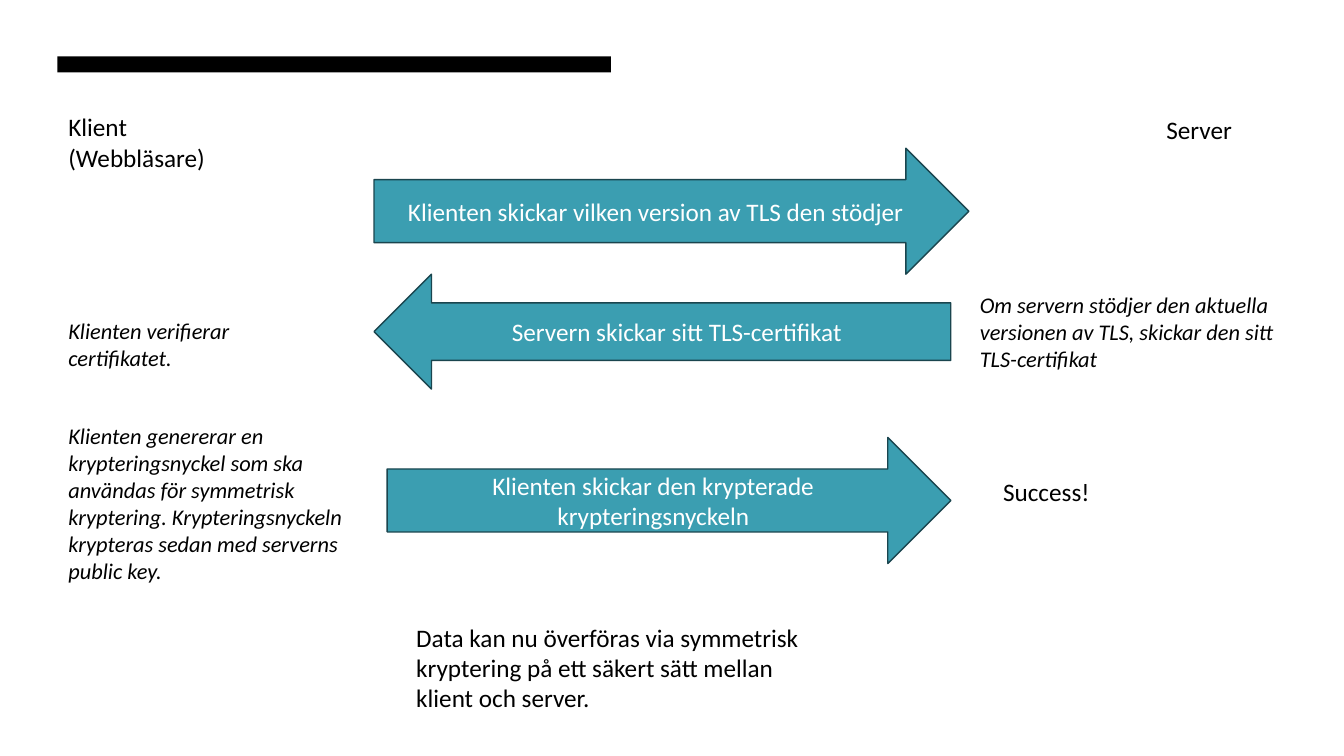
from pptx import Presentation
from pptx.dml.color import RGBColor
from pptx.enum.shapes import MSO_SHAPE
from pptx.enum.text import MSO_ANCHOR, PP_ALIGN
from pptx.util import Inches, Pt

RECT = MSO_SHAPE.RECTANGLE
RIGHT = MSO_SHAPE.RIGHT_ARROW
LEFT = MSO_SHAPE.LEFT_ARROW
MIDDLE = MSO_ANCHOR.MIDDLE
TOP = MSO_ANCHOR.TOP
CENTER = PP_ALIGN.CENTER
START = PP_ALIGN.LEFT


def color(code):
    return RGBColor.from_string(code)


def write(frame, text, size=18, ink="000000", italic=False, align=START, anchor=TOP):
    frame.word_wrap = True
    frame.vertical_anchor = anchor
    para = frame.paragraphs[0]
    para.alignment = align
    run = para.add_run()
    run.text = text
    font = run.font
    font.name = "Calibri"
    font.size = Pt(size)
    font.italic = italic
    font.color.rgb = color(ink)


class Board:
    """Holds the style and the current slide."""

    black = "000000"
    white = "FFFFFF"
    teal = "3B9EB1"
    edge = "1A454E"

    def __init__(self, slide):
        self.slide = slide

    def shape(self, kind, box, fill):
        item = self.slide.shapes.add_shape(kind, *map(Inches, box))
        item.shadow.inherit = False
        item.fill.solid()
        item.fill.fore_color.rgb = color(fill)
        return item

    def bar(self, *box):
        self.shape(RECT, box, self.black).line.fill.background()

    def arrow(self, kind, text, *box):
        item = self.shape(kind, box, self.teal)
        item.line.color.rgb = color(self.edge)
        item.line.width = Pt(1)
        write(item.text_frame, text, ink=self.white, align=CENTER, anchor=MIDDLE)

    def label(self, text, *box):
        item = self.slide.shapes.add_textbox(*map(Inches, box))
        write(item.text_frame, text, ink=self.black)

    def note(self, text, *box):
        item = self.slide.shapes.add_textbox(*map(Inches, box))
        write(item.text_frame, text, size=16, ink=self.black, italic=True)


def main():
    deck = Presentation()
    deck.slide_width = Inches(13.33)
    deck.slide_height = Inches(7.5)
    board = Board(deck.slides.add_slide(deck.slide_layouts[6]))
    side = 0.58  # left edge of the client column

    # Top bar and the two parties
    board.bar(0.57, 0.56, 5.49, 0.16)
    board.label("Klient (Webbläsare)", side, 1.06, 1.84, 0.71)
    board.label("Server", 11.47, 1.08, 1.36, 0.42)

    # Step 1: the client states its version
    board.arrow(RIGHT, "Klienten skickar vilken version av TLS den stödjer",
                3.71, 1.47, 5.9, 1.25)

    # Step 2: the server sends its certificate
    board.note("Om servern stödjer den aktuella versionen av TLS, "
               "skickar den sitt TLS-certifikat", 9.62, 2.84, 3.21, 0.91)
    board.arrow(LEFT, "Servern skickar sitt TLS-certifikat",
                3.71, 2.72, 5.72, 1.14)
    board.note("Klienten verifierar certifikatet.", side, 3.1, 2.24, 0.64)

    # Step 3: the client sends the encrypted key
    board.note("Klienten genererar en krypteringsnyckel som ska användas för "
               "symmetrisk kryptering. Krypteringsnyckeln krypteras sedan med "
               "serverns public key.", side, 4.14, 3.13, 1.72)
    board.arrow(RIGHT, "Klienten skickar den krypterade krypteringsnyckeln",
                3.84, 4.34, 5.59, 1.25)
    board.label("Success!", 9.85, 4.68, 2.52, 0.4)

    # Outcome
    board.label("Data kan nu överföras via symmetrisk kryptering på ett säkert "
                "sätt mellan klient och server.", 4.03, 6.12, 4.15, 1.01)

    deck.save("out.pptx")


if __name__ == "__main__":
    main()
